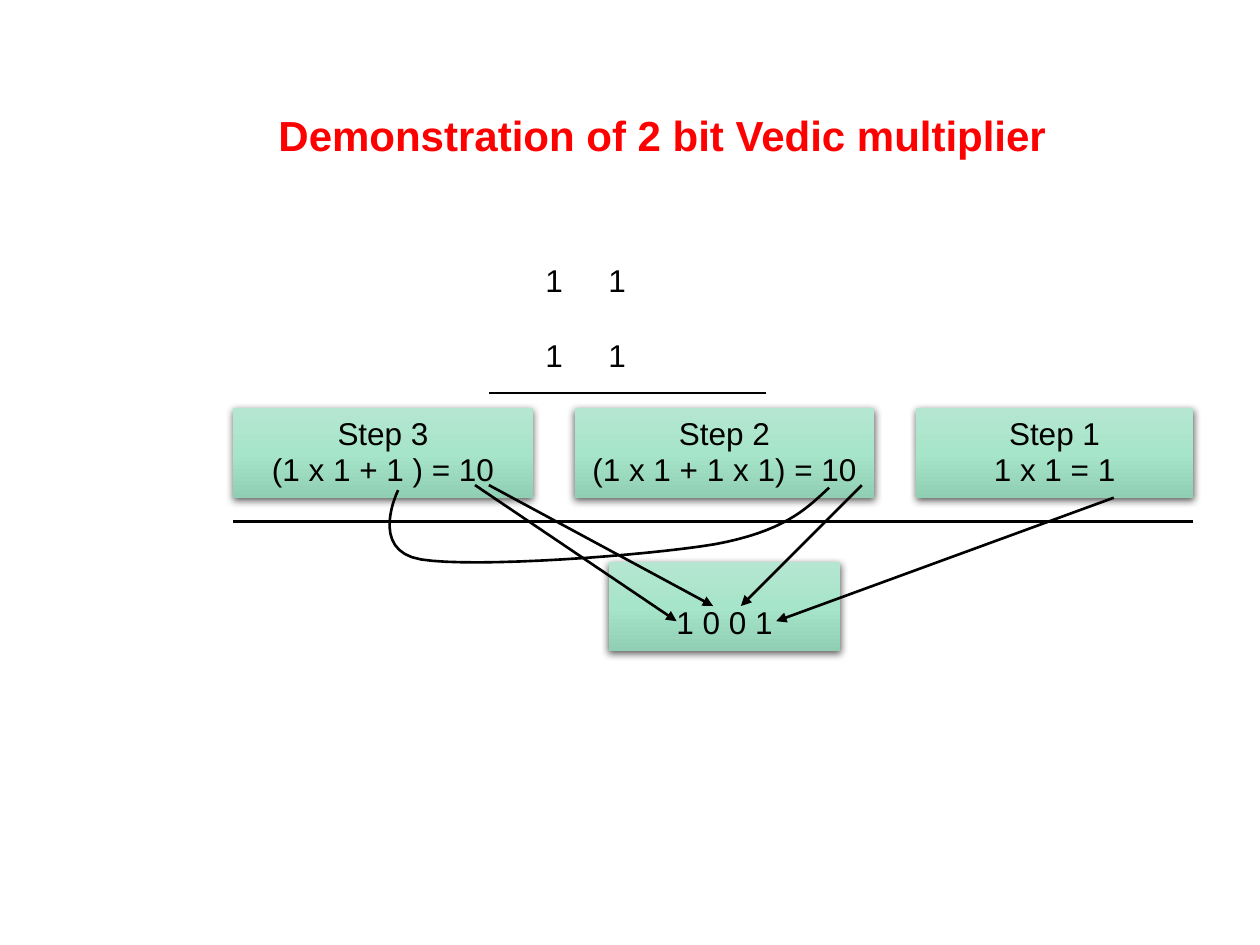
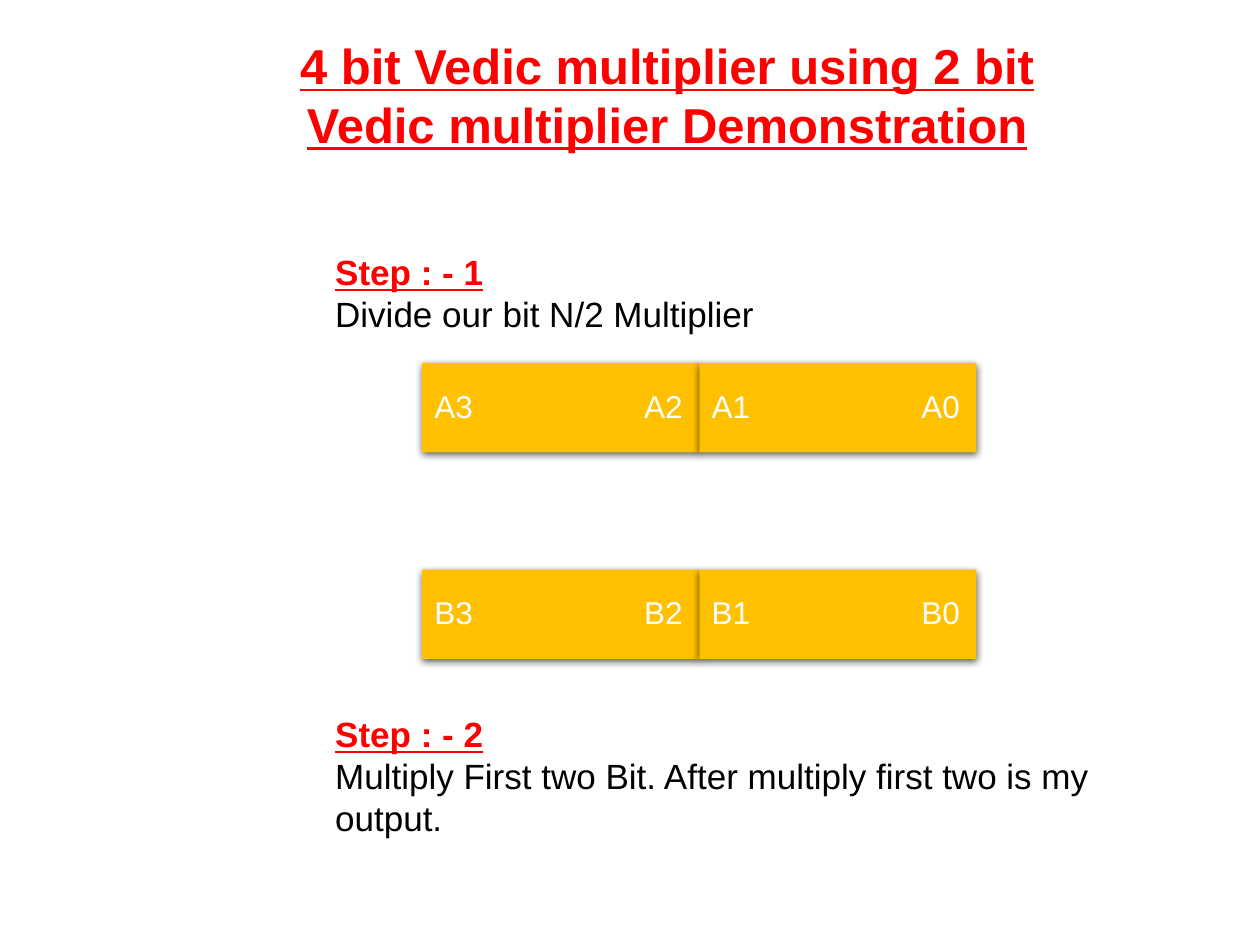
from pptx import Presentation
from pptx.dml.color import RGBColor
from pptx.enum.shapes import MSO_CONNECTOR, MSO_SHAPE
from pptx.enum.text import MSO_ANCHOR, PP_ALIGN
from pptx.oxml.ns import qn
from pptx.util import Inches, Pt
from copy import deepcopy
from lxml import etree

STRAIGHT = MSO_CONNECTOR.STRAIGHT
RECTANGLE = MSO_SHAPE.RECTANGLE
TOP, MIDDLE, BOTTOM = MSO_ANCHOR.TOP, MSO_ANCHOR.MIDDLE, MSO_ANCHOR.BOTTOM
LEFT, CENTER = PP_ALIGN.LEFT, PP_ALIGN.CENTER

FONT = "Arial"
RED = RGBColor(0xFF, 0x00, 0x00)
BLACK = RGBColor(0x00, 0x00, 0x00)
WHITE = RGBColor(0xFF, 0xFF, 0xFF)
AMBER = RGBColor(0xFF, 0xC0, 0x00)
GREENS = [
    (0, RGBColor(0xB5, 0xE6, 0xD1)),
    (0.5, RGBColor(0xA7, 0xE5, 0xCA)),
    (1, RGBColor(0x91, 0xCF, 0xB4)),
]
BOX_HEIGHT = 0.71
TITLE_ONLY, TITLE_AND_BODY = 5, 1


def style(para, size, color, bold=False, underline=False):
    font = para.font
    font.name, font.size, font.color.rgb = FONT, Pt(size), color
    font.bold, font.underline = bold, underline


def place(shape, left, top, width, height):
    shape.left, shape.top = Inches(left), Inches(top)
    shape.width, shape.height = Inches(width), Inches(height)


def write_lines(frame, lines):
    """Fill a text frame with one paragraph per line and return them."""
    frame.word_wrap = True
    frame.text = "\n".join(lines)
    return frame.paragraphs


def add_title(page, text, at, size, align, underline=False):
    title = page.shapes.title
    place(title, *at)
    title.text_frame.vertical_anchor = MIDDLE
    para = write_lines(title.text_frame, [text])[0]
    para.alignment = align
    style(para, size, RED, bold=True, underline=underline)


def add_shadow(shape):
    shape.shadow.inherit = False
    effects = shape._element.spPr.find(qn("a:effectLst"))
    shadow = etree.SubElement(
        effects, qn("a:outerShdw"), blurRad=str(Pt(4.5)), dist=str(Pt(1.5)),
        dir="5400000", algn="ctr", rotWithShape="0")
    color = etree.SubElement(shadow, qn("a:srgbClr"), val="000000")
    etree.SubElement(color, qn("a:alpha"), val="63000")


def fill_gradient(shape, colors):
    shape.fill.gradient()
    shape.fill.gradient_angle = 270
    stop_list = shape._element.spPr.find(".//" + qn("a:gsLst"))
    stop_list.append(deepcopy(stop_list[-1]))
    for stop, (position, color) in zip(shape.fill.gradient_stops, colors):
        stop.position, stop.color.rgb = position, color


def add_box(page, left, top, width, lines, color):
    box = page.shapes.add_shape(RECTANGLE, Inches(left), Inches(top),
                                Inches(width), Inches(BOX_HEIGHT))
    box.line.fill.background()
    add_shadow(box)
    box.text_frame.vertical_anchor = MIDDLE
    for para in write_lines(box.text_frame, lines):
        para.alignment, para.line_spacing = CENTER, 0.93
        style(para, 18, color)
    return box


def add_green_box(page, left, top, width, lines):
    box = add_box(page, left, top, width, lines, BLACK)
    fill_gradient(box, GREENS)
    return box


def add_bit_box(page, left, top, high_bit, low_bit):
    """Amber half word: one bit at each end, held by a right tab."""
    box = add_box(page, left, top, 2.2, [f"{high_bit}\t{low_bit}"], WHITE)
    box.fill.solid()
    box.fill.fore_color.rgb = AMBER
    para = box.text_frame.paragraphs[0]
    para.alignment = LEFT
    tabs = etree.Element(qn("a:tabLst"))
    etree.SubElement(tabs, qn("a:tab"), pos=str(Inches(1.97)), algn="r")
    para._p.pPr.find(qn("a:defRPr")).addprevious(tabs)


def add_line(page, start, end, weight=1.5, arrow=False):
    line = page.shapes.add_connector(
        STRAIGHT, *(Inches(value) for value in (*start, *end)))
    line.line.color.rgb, line.line.width = BLACK, Pt(weight)
    if arrow:
        etree.SubElement(line.line._get_or_add_ln(), qn("a:tailEnd"), type="triangle")
    etree.SubElement(line._element.spPr, qn("a:effectLst"))


def bezier_points(start, curves, steps=16):
    """Points along a chain of cubic curves (two controls and an end each)."""
    for control_1, control_2, end in curves:
        for step in range(1, steps + 1):
            t = step / steps
            weights = ((1 - t) ** 3, 3 * t * (1 - t) ** 2, 3 * t * t * (1 - t), t ** 3)
            corners = (start, control_1, control_2, end)
            yield tuple(Inches(sum(w * c[axis] for w, c in zip(weights, corners)))
                        for axis in (0, 1))
        start = end


def add_curve(page, start, curves):
    builder = page.shapes.build_freeform(Inches(start[0]), Inches(start[1]))
    builder.add_line_segments(list(bezier_points(start, curves)), close=False)
    curve = builder.convert_to_shape()
    curve.fill.background()
    curve.line.color.rgb, curve.line.width = BLACK, Pt(1.5)
    curve.shadow.inherit = False


def build_two_bit_page(deck):
    page = deck.slides.add_slide(deck.slide_layouts[TITLE_ONLY])
    add_title(page, "Demonstration of 2 bit Vedic multiplier",
              (2.11, 0.82, 6.85, 0.5), 24, LEFT)

    # Operands
    operands = page.shapes.add_textbox(Inches(4.23), Inches(2.02), Inches(1.52), Inches(1.01))
    for index, para in enumerate(write_lines(operands.text_frame, ["1\t1"] * 2)):
        para.space_before = Pt(21.6 * index)
        style(para, 18, BLACK)
    add_line(page, (3.88, 3.12), (6.08, 3.12), weight=0.75)

    # Partial products
    products = [("Step 3", "(1 x 1 + 1 ) = 10", 2.38),
                ("Step 2", "(1 x 1 + 1 x 1) = 10", 2.38),
                ("Step 1", "1 x 1 = 1", 2.2)]
    for column, (step, product, width) in enumerate(products):
        add_green_box(page, 1.85 + 2.71 * column, 3.24, width, [step, product])
    add_line(page, (1.85, 4.14), (9.47, 4.14))

    # Result
    result = add_green_box(page, 4.83, 4.46, 1.84, ["1 0 0 1"])
    result.text_frame.vertical_anchor = BOTTOM
    result.text_frame.margin_bottom = Inches(0.08)

    # Digits carried down to the result, and the carry into step 3
    for start, end in [((8.84, 3.95), (6.16, 4.93)), ((3.88, 3.85), (5.66, 4.81)),
                       ((6.84, 3.85), (5.88, 4.81)), ((3.77, 3.85), (5.37, 4.93))]:
        add_line(page, start, end, arrow=True)
    add_curve(page, (6.58, 3.87), [
        ((6.39, 4.05), (6.21, 4.22), (5.67, 4.32)),
        ((5.13, 4.41), (3.76, 4.51), (3.34, 4.44)),
        ((2.92, 4.37), (3.16, 3.89), (3.16, 3.89)),
    ])


def build_four_bit_page(deck):
    page = deck.slides.add_slide(deck.slide_layouts[TITLE_AND_BODY])
    add_title(page, "4 bit Vedic multiplier using 2 bit Vedic multiplier Demonstration",
              (1.99, 0.23, 6.61, 1.04), 28, CENTER, underline=True)

    # Steps, with room between them for the bit boxes
    body = page.placeholders[1]
    place(body, 2.56, 1.94, 6.38, 4.81)
    body.text_frame.vertical_anchor = TOP
    steps = ["Step : - 1", "Divide our bit N/2 Multiplier", "Step : - 2",
             "Multiply First two Bit. After multiply first two is my output."]
    for index, para in enumerate(write_lines(body.text_frame, steps)):
        properties = para._p.get_or_add_pPr()
        properties.set("marL", "0")
        properties.set("indent", "0")
        etree.SubElement(properties, qn("a:buNone"))
        para.space_before = Pt(216 if index == 2 else 0)
        heading = index % 2 == 0
        style(para, 20, RED if heading else BLACK, bold=heading, underline=heading)

    # Both four-bit numbers, split in halves
    for name, top in (("B", 4.52), ("A", 2.88)):
        for half, (high, low) in enumerate([(3, 2), (1, 0)]):
            add_bit_box(page, 3.35 + 2.2 * half, top, f"{name}{high}", f"{name}{low}")


def main():
    deck = Presentation()
    deck.slide_width, deck.slide_height = Inches(10), Inches(7.5)
    build_two_bit_page(deck)
    build_four_bit_page(deck)
    deck.save("out.pptx")


if __name__ == "__main__":
    main()
